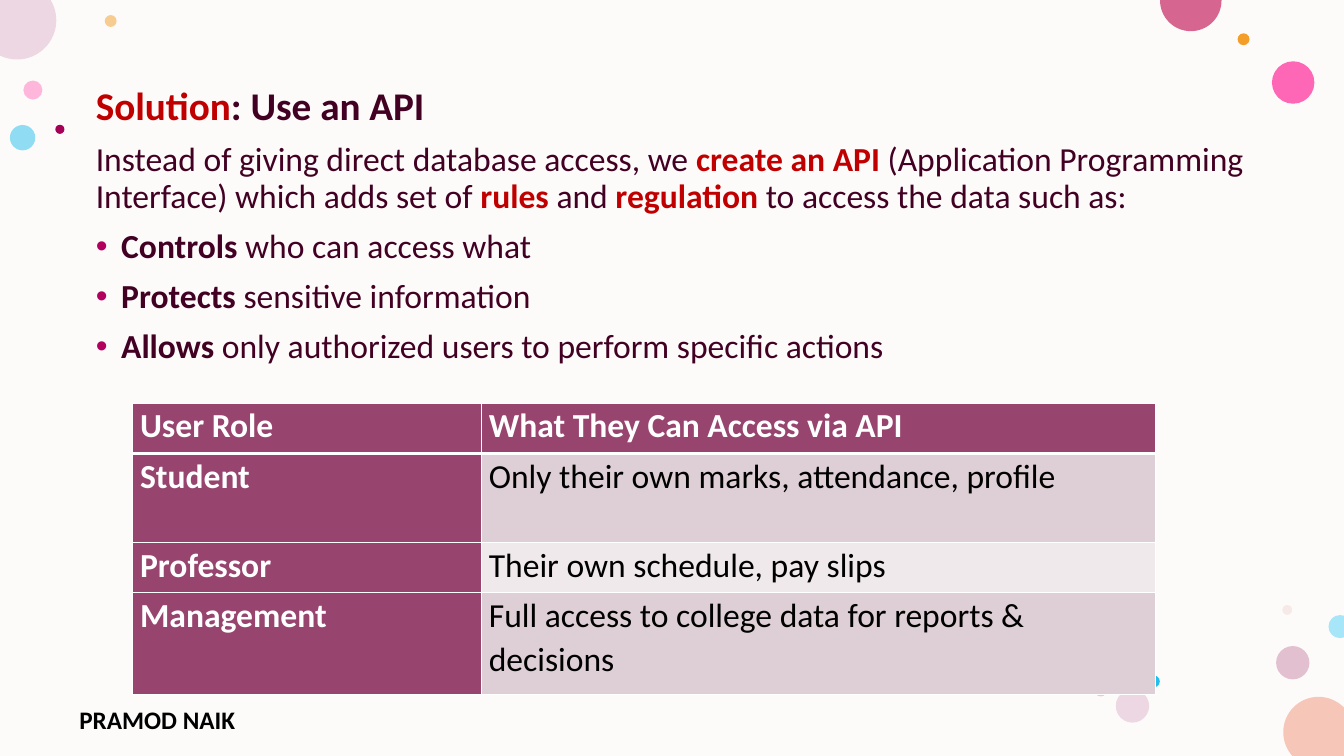
from dataclasses import dataclass
from math import acos, asin, cos, pi, sin, tan

from lxml import etree
from pptx import Presentation
from pptx.dml.color import RGBColor
from pptx.enum.shapes import MSO_SHAPE
from pptx.enum.text import MSO_AUTO_SIZE
from pptx.oxml.ns import qn
from pptx.util import Cm, Pt

OVAL = MSO_SHAPE.OVAL
RECTANGLE = MSO_SHAPE.RECTANGLE
NO_AUTOFIT = MSO_AUTO_SIZE.NONE


@dataclass(frozen=True)
class Theme:
    font: str = "Calibri"
    paper: str = "FDFBF9"
    ink: str = "420023"
    accent: str = "C00000"
    bullet: str = "B1005E"
    header: str = "97446E"
    bands: tuple = ("DDCFD5", "EFE9EB")
    white: str = "FFFFFF"
    black: str = "000000"
    heading_size: int = 28
    body_size: int = 24
    footer_size: int = 18


@dataclass(frozen=True)
class Box:
    left: float
    top: float
    width: float
    height: float

    def lengths(self):
        return Cm(self.left), Cm(self.top), Cm(self.width), Cm(self.height)


THEME = Theme()
SLIDE = Box(0, 0, 33.87, 19.05)

BUBBLES = [
    (0.83, 2.27, 0.48, "FF75BD", 50),
    (2.79, 0.53, 0.30, "F39E29", 50),
    (32.58, 16.70, 0.84, "C987A8", 50),
    (0.57, 3.47, 0.64, "24BEEE", 50),
    (32.59, 2.08, 1.07, "FF2F9C", 72),
    (31.34, 0.99, 0.30, "F39E29", 100),
    (32.44, 15.37, 0.25, "E3BEBE", 28),
    (29.08, 17.17, 0.30, "24BEEE", 100),
    (28.54, 17.79, 0.84, "EDD7E2", 100),
    (27.74, 17.40, 0.30, "F6C7B9", 100),
    (33.23, 18.45, 1.78, "F6C7B9", 100),
    (0.43, 0.51, 1.98, "EDD7E2", 100),
    (30.01, 0.01, 1.55, "D6658F", 100),
    (1.51, 3.26, 0.23, "A40056", 100),
    (33.77, 15.79, 0.58, "A7E5F8", 100),
]

HEADING = [("Solution", THEME.accent, True), (": Use an API", THEME.ink, True)]
INTRO = [
    ("Instead of giving direct database access, we ", THEME.ink, False),
    ("create an API ", THEME.accent, True),
    ("(Application Programming Interface) which adds set of ", THEME.ink, False),
    ("rules", THEME.accent, True),
    (" and ", THEME.ink, False),
    ("regulation", THEME.accent, True),
    (" to access the data such as:", THEME.ink, False),
]
BENEFITS = [
    ("Controls", " who can access what"),
    ("Protects", " sensitive information"),
    ("Allows", " only authorized users to perform specific actions"),
]

ACCESS_ROWS = [
    ("User Role", "What They Can Access via API"),
    ("Student", "Only their own marks, attendance, profile"),
    ("Professor", "Their own schedule, pay slips"),
    ("Management", "Full access to college data for reports & decisions"),
]
COLUMN_WIDTHS = (8.79, 17)
ROW_HEIGHTS = (1.27, 2.24, 1.27, 2.57)


def paint(shape, color, opacity=100):
    shape.shadow.inherit = False
    shape.line.fill.background()
    shape.fill.solid()
    shape.fill.fore_color.rgb = RGBColor.from_string(color)
    if opacity < 100:
        tint = shape._element.spPr.find(".//" + qn("a:srgbClr"))
        etree.SubElement(tint, qn("a:alpha"), val=str(opacity * 1000))


def set_font(font, size, color, bold):
    font.name = THEME.font
    font.size = Pt(size)
    font.bold = bold
    font.color.rgb = RGBColor.from_string(color)


def visible_arcs(box, x, y, radius):
    sides = [edge for edge in (0, box.width) if abs(edge - x) < radius]
    levels = [edge for edge in (0, box.height) if abs(edge - y) < radius]
    angles = [quarter * pi / 2 for quarter in range(4)]
    for edge in sides:
        turn = acos((edge - x) / radius)
        angles += [turn, -turn]
    for edge in levels:
        turn = asin((edge - y) / radius)
        angles += [turn, pi - turn]
    angles = sorted(angle % (2 * pi) for angle in angles)
    arcs = list(zip(angles, angles[1:] + [angles[0] + 2 * pi]))

    def shows(arc):
        middle = sum(arc) / 2
        across, down = x + radius * cos(middle), y + radius * sin(middle)
        return 0 <= across <= box.width and 0 <= down <= box.height

    first_hidden = next(index for index, arc in enumerate(arcs) if not shows(arc))
    arcs = [arc for arc in arcs[first_hidden:] + arcs[:first_hidden] if shows(arc)]
    return arcs, [(side, level) for side in sides for level in levels]


def add_clipped_circle(page, box, x, y, radius):
    arcs, corners = visible_arcs(box, x, y, radius)

    def place(angle, pull=0):
        across = x + radius * (cos(angle) - pull * sin(angle))
        down = y + radius * (sin(angle) + pull * cos(angle))
        return Cm(across), Cm(down)

    points = []
    for start, end in arcs:
        pull = 4 / 3 * tan((end - start) / 4)
        points += [place(start, pull), place(end, -pull), place(end)]
    points += [(Cm(side), Cm(level)) for side, level in corners]
    builder = page.shapes.build_freeform(*place(arcs[0][0]))
    builder.add_line_segments(points, close=True)
    shape = builder.convert_to_shape()
    outline = shape._element.find(".//" + qn("a:path"))
    lines = outline.findall(qn("a:lnTo"))
    for index in range(0, 3 * len(arcs), 3):
        curve = etree.Element(qn("a:cubicBezTo"))
        lines[index].addprevious(curve)
        for line in lines[index:index + 3]:
            curve.append(line[0])
            outline.remove(line)
    return shape


def add_backdrop(page, box):
    paint(page.shapes.add_shape(RECTANGLE, *box.lengths()), THEME.paper)
    for x, y, size, color, opacity in BUBBLES:
        radius = size / 2
        inside_x = radius <= x <= box.width - radius
        inside_y = radius <= y <= box.height - radius
        if inside_x and inside_y:
            frame = Box(box.left + x - radius, box.top + y - radius, size, size)
            bubble = page.shapes.add_shape(OVAL, *frame.lengths())
        else:
            bubble = add_clipped_circle(page, box, x, y, radius)
        paint(bubble, color, opacity)


def format_bullet(para, bulleted):
    props = para._p.get_or_add_pPr()
    indent = Cm(0.64) if bulleted else 0
    props.set("marL", str(indent))
    props.set("indent", str(-indent))
    if bulleted:
        color = etree.SubElement(props, qn("a:buClr"))
        etree.SubElement(color, qn("a:srgbClr"), val=THEME.bullet)
        etree.SubElement(props, qn("a:buChar"), char="•")
    else:
        etree.SubElement(props, qn("a:buNone"))


def add_body(page, box):
    body = page.placeholders[1]
    page.shapes._spTree.append(body.element)
    body.left, body.top, body.width, body.height = box.lengths()
    frame = body.text_frame
    frame.auto_size = NO_AUTOFIT
    lines = [(HEADING, THEME.heading_size, False), (INTRO, THEME.body_size, False)]
    for lead, rest in BENEFITS:
        spans = [(lead, THEME.ink, True), (rest, THEME.ink, False)]
        lines.append((spans, THEME.body_size, True))
    for index, (spans, size, bulleted) in enumerate(lines):
        para = frame.add_paragraph() if index else frame.paragraphs[0]
        para.line_spacing = 0.9
        para.space_before = Pt(10)
        format_bullet(para, bulleted)
        for text, color, bold in spans:
            span = para.add_run()
            span.text = text
            set_font(span.font, size, color, bold)


def set_borders(cell, row):
    props = cell._tc.get_or_add_tcPr()
    heavy = {(0, "lnB"), (1, "lnT")}
    for index, side in enumerate(("lnL", "lnR", "lnT", "lnB")):
        width = Pt(3) if (row, side) in heavy else Pt(1)
        line = etree.Element(qn(f"a:{side}"), w=str(width))
        fill = etree.SubElement(line, qn("a:solidFill"))
        etree.SubElement(fill, qn("a:srgbClr"), val=THEME.white)
        props.insert(index, line)


def fill_cell(cell, text, row, strong):
    cell.margin_left = cell.margin_right = Cm(0.19)
    cell.margin_top = cell.margin_bottom = 0
    cell.fill.solid()
    color = THEME.header if strong else THEME.bands[(row - 1) % 2]
    cell.fill.fore_color.rgb = RGBColor.from_string(color)
    set_borders(cell, row)
    cell.text = text
    para = cell.text_frame.paragraphs[0]
    para.line_spacing = 1.07
    para.space_after = Pt(8)
    set_font(para.font, THEME.body_size, THEME.white if strong else THEME.black, strong)


def add_access_table(page, box):
    shape = page.shapes.add_table(len(ACCESS_ROWS), len(COLUMN_WIDTHS), *box.lengths())
    table = shape.table
    for column, width in zip(table.columns, COLUMN_WIDTHS):
        column.width = Cm(width)
    for row, (height, texts) in enumerate(zip(ROW_HEIGHTS, ACCESS_ROWS)):
        table.rows[row].height = Cm(height)
        for column, text in enumerate(texts):
            fill_cell(table.cell(row, column), text, row, row == 0 or column == 0)


def add_footer(page, box):
    frame = page.shapes.add_textbox(*box.lengths()).text_frame
    frame.word_wrap = True
    para = frame.paragraphs[0]
    para.text = "PRAMOD NAIK"
    set_font(para.font, THEME.footer_size, THEME.black, True)


def main():
    deck = Presentation()
    deck.slide_width, deck.slide_height = SLIDE.lengths()[2:]
    page = deck.slides.add_slide(deck.slide_layouts[1])
    title = page.shapes.title.element
    title.getparent().remove(title)
    add_backdrop(page, SLIDE)
    add_footer(page, Box(1.75, 17.63, 6.22, 0.81))
    add_body(page, Box(2.16, 2.05, 29.62, 15.11))
    add_access_table(page, Box(3.34, 10.16, sum(COLUMN_WIDTHS), sum(ROW_HEIGHTS)))
    deck.save("out.pptx")


if __name__ == "__main__":
    main()
